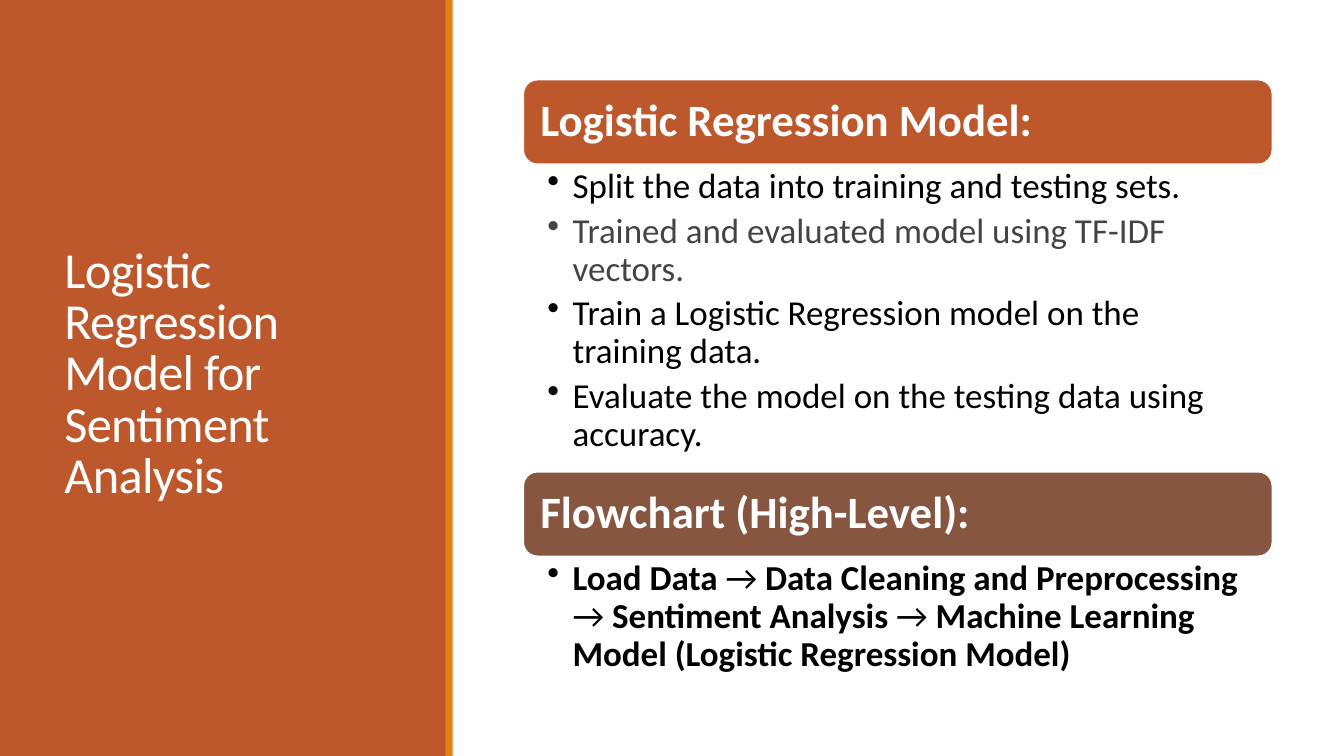
import dataclasses

import pptx
import pptx.dml.color
import pptx.enum.shapes
import pptx.enum.text
import pptx.oxml
import pptx.oxml.ns
import pptx.util

RGB = pptx.dml.color.RGBColor
KIND = pptx.enum.shapes.MSO_SHAPE
ANCHOR = pptx.enum.text.MSO_ANCHOR

WHITE = RGB(0xFF, 0xFF, 0xFF)
BLACK = RGB(0x00, 0x00, 0x00)
GREY = RGB(0x44, 0x44, 0x44)
RUST = RGB(0xBD, 0x58, 0x2C)
BROWN = RGB(0x86, 0x56, 0x40)
AMBER = RGB(0xE4, 0x83, 0x12)
FONT = "Calibri"
SCALE = 9144
ARROW = " → "


@dataclasses.dataclass(frozen=True)
class Box:
    """Place and size in px, at 100 px to the inch."""
    left: int
    top: int
    width: int
    height: int

    def emu(self) -> list[pptx.util.Emu]:
        """Give the four lengths in EMU."""
        return [px(n) for n in dataclasses.astuple(self)]


@dataclasses.dataclass(frozen=True)
class Run:
    """A piece of text in one style."""
    text: str
    color: RGB = BLACK
    bold: bool = False
    size: int = 25


@dataclasses.dataclass(frozen=True)
class Panel:
    """A heading bar with bullets below it."""
    top: int
    fill: RGB
    head: str
    height: int
    points: list[list[Run]]


STEPS = ["Load Data", "Data Cleaning and Preprocessing", "Sentiment Analysis",
         "Machine Learning Model (Logistic Regression Model)"]
FLOW = [run for step in STEPS for run in (Run(ARROW), Run(step, bold=True))][1:]
PANELS = [
    Panel(79, RUST, "Logistic Regression Model:", 304, [
        [Run("Split the data into training and testing sets.")],
        [Run("Trained and evaluated model using TF-IDF vectors.", GREY)],
        [Run("Train a Logistic Regression model on the training data.")],
        [Run("Evaluate the model on the testing data using accuracy.")],
    ]),
    Panel(468, BROWN, "Flowchart (High-Level):", 127, [FLOW]),
]
TITLE = ["Logistic Regression", "Model for Sentiment ", "Analysis"]


def px(count: int) -> pptx.util.Emu:
    """Turn px into EMU."""
    return pptx.util.Emu(count * SCALE)


def add_block(slide, box: Box, fill: RGB, kind=KIND.RECTANGLE):
    """Draw a filled shape without line or shadow."""
    block = slide.shapes.add_shape(kind, *box.emu())
    block.shadow.inherit = False
    block.fill.solid()
    block.fill.fore_color.rgb = fill
    block.line.fill.background()
    return block


def add_frame(slide, box: Box, pads: tuple[int, int, int, int], anchor):
    """Add a wrapping text box and return its frame."""
    frame = slide.shapes.add_textbox(*box.emu()).text_frame
    frame.word_wrap = True
    frame.vertical_anchor = anchor
    (frame.margin_left, frame.margin_top,
     frame.margin_right, frame.margin_bottom) = map(px, pads)
    return frame


def add_run(para, part: Run):
    """Add one styled run to a paragraph."""
    run = para.add_run()
    run.text = part.text
    run.font.name = FONT
    run.font.size = pptx.util.Pt(part.size)
    run.font.bold = part.bold
    run.font.color.rgb = part.color
    return run


def add_bullet(para) -> None:
    """Give a paragraph a hanging bullet."""
    props = para._p.get_or_add_pPr()
    props.set("marL", str(px(25)))
    props.set("indent", str(px(-25)))
    mark = pptx.oxml.parse_xml(
        f'<a:buChar {pptx.oxml.ns.nsdecls("a")} char="•"/>')
    props.append(mark)


def add_title(slide) -> None:
    """Write the title on the side band."""
    frame = add_frame(slide, Box(54, 57, 337, 631), (10, 5, 10, 5), ANCHOR.MIDDLE)
    para = frame.paragraphs[0]
    para.line_spacing = 0.85
    for index, line in enumerate(TITLE):
        if index:
            para.add_line_break()
        run = add_run(para, Run(line, WHITE, size=36))
        run.font._element.set("spc", "-50")


def add_panel(slide, panel: Panel) -> None:
    """Draw a heading bar and its bullets."""
    bar = add_block(slide, Box(519, panel.top, 743, 84), panel.fill,
                    KIND.ROUNDED_RECTANGLE)
    bar.line.color.rgb = WHITE
    bar.line.width = pptx.util.Pt(1.25)
    head = add_frame(slide, Box(523, panel.top + 4, 735, 76), (13,) * 4,
                     ANCHOR.MIDDLE).paragraphs[0]
    head.line_spacing = 0.9
    add_run(head, Run(panel.head, WHITE, True, 32))
    body = add_frame(slide, Box(519, panel.top + 84, 743, panel.height),
                     (24, 4, 25, 4), ANCHOR.TOP)
    for index, point in enumerate(panel.points):
        para = body.add_paragraph() if index else body.paragraphs[0]
        para.line_spacing = 0.9
        para.space_after = pptx.util.Pt(5)
        add_bullet(para)
        for part in point:
            add_run(para, part)


def main() -> None:
    """Build and save the slide."""
    deck = pptx.Presentation()
    deck.slide_width, deck.slide_height = px(1333), px(750)
    slide = deck.slides.add_slide(deck.slide_layouts[6])
    add_block(slide, Box(0, 0, 443, 750), RUST)
    add_title(slide)
    add_block(slide, Box(442, 0, 7, 750), AMBER)
    for panel in PANELS:
        add_panel(slide, panel)
    deck.save("out.pptx")


if __name__ == "__main__":
    main()
